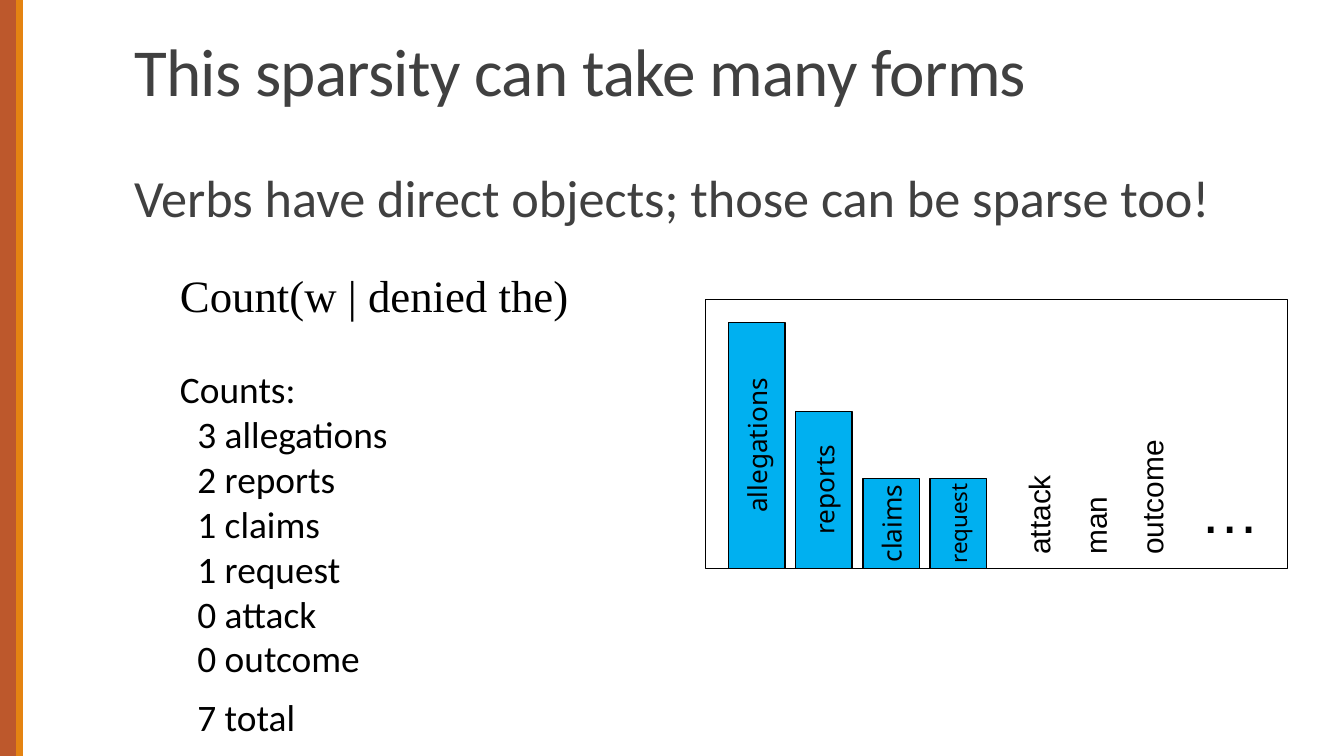
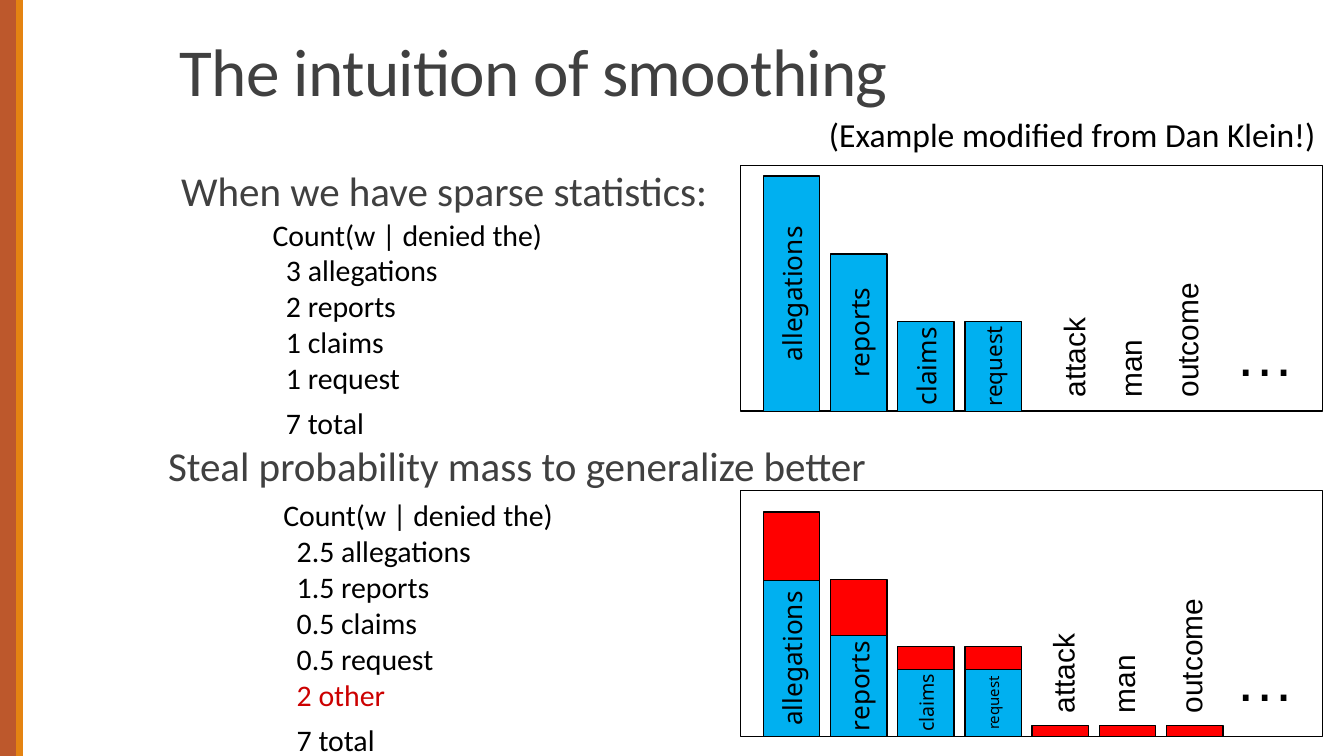
from pptx import Presentation
from pptx.dml.color import RGBColor
from pptx.enum.shapes import MSO_SHAPE
from pptx.enum.text import MSO_ANCHOR, MSO_AUTO_SIZE, PP_ALIGN
from pptx.util import Inches, Pt

RUST, ORANGE = "BD582C", "E48312"
GREY, BLACK, DARK_RED = "404040", "000000", "CC0000"
BLUE, RED = "00B0F0", "FF0000"
WORDS = ["allegations", "reports", "claims", "request"]
UNSEEN = ["attack", "man", "outcome"]


def rgb(value):
    return RGBColor.from_string(value)


class Deck:
    body_font = "Calibri"
    bar_font = "Noto Sans"
    label_font = "Arial"
    bar_width = 0.42
    bar_step = 0.5
    first_bar = 0.38

    def __init__(self):
        self.presentation = Presentation()
        self.presentation.slide_width = Inches(10)
        self.presentation.slide_height = Inches(10) * 9 // 16
        self.slide = None

    def start_slide(self, title, left):
        self.slide = self.presentation.slides.add_slide(self.presentation.slide_layouts[6])
        height = self.presentation.slide_height / Inches(1)
        self.rectangle(0, 0, 0.17, height, fill=RUST)
        self.rectangle(0.12, 0, 0.05, height, fill=ORANGE)
        frame = self.text_box(left, 0.13, 8.25, 0.74, anchor=MSO_ANCHOR.BOTTOM)
        run = self.add_text(frame.paragraphs[0], title, 36, GREY)
        frame.paragraphs[0].line_spacing = 0.85
        run.font._element.set("spc", "-40")

    def rectangle(self, left, top, width, height, fill=None, line=None):
        shape = self.slide.shapes.add_shape(
            MSO_SHAPE.RECTANGLE, Inches(left), Inches(top), Inches(width), Inches(height))
        shape.shadow.inherit = False
        if fill:
            shape.fill.solid()
            shape.fill.fore_color.rgb = rgb(fill)
        else:
            shape.fill.background()
        if line:
            shape.line.color.rgb = rgb(line)
            shape.line.width = Pt(0.75)
        else:
            shape.line.fill.background()
        return shape

    def text_box(self, left, top, width, height, anchor=MSO_ANCHOR.TOP,
                 side_margin=0.1, wrap=True, rotation=0, grow=False):
        box = self.slide.shapes.add_textbox(
            Inches(left), Inches(top), Inches(width), Inches(height))
        box.rotation = rotation
        frame = box.text_frame
        frame.word_wrap = wrap
        frame.vertical_anchor = anchor
        frame.margin_left = frame.margin_right = Inches(side_margin)
        if grow:
            frame.auto_size = MSO_AUTO_SIZE.SHAPE_TO_FIT_TEXT
        return frame

    def add_text(self, paragraph, text, size, color=BLACK, font=body_font):
        run = paragraph.add_run()
        run.text = text
        run.font.size = Pt(size)
        run.font.name = font
        run.font.color.rgb = rgb(color)
        return run

    def statement(self, text, left, top, height, size, spacing, side_margin=0.1):
        frame = self.text_box(left, top, 8.25, height, side_margin=side_margin)
        paragraph = frame.paragraphs[0]
        paragraph.line_spacing = spacing
        paragraph.space_after = Pt(1.5)
        self.add_text(paragraph, text, size, GREY)

    def counts(self, left, top, width, height, size, heading, lines, total_gap, indent):
        frame = self.text_box(left, top, width, height, grow=True)
        self.add_text(frame.paragraphs[0], heading["text"], heading["size"],
                      font=heading["font"])
        for text in lines:
            paragraph = frame.add_paragraph()
            if text == "Counts:":
                paragraph.space_before = Pt(24.4)
            else:
                paragraph._p.get_or_add_pPr().set("marL", str(Inches(indent)))
            if text.endswith("total"):
                paragraph.space_before = Pt(total_gap)
            self.add_text(paragraph, text, size, DARK_RED if text.endswith("other") else BLACK)

    def bar(self, center, bottom, height, fill, word=None, size=14):
        shape = self.rectangle(center - height / 2, bottom - (height + self.bar_width) / 2,
                               height, self.bar_width, fill, BLACK)
        shape.rotation = 270
        if word:
            frame = shape.text_frame
            frame.word_wrap = False
            frame.vertical_anchor = MSO_ANCHOR.MIDDLE
            frame.paragraphs[0].alignment = PP_ALIGN.CENTER
            self.add_text(frame.paragraphs[0], word, size, font=self.bar_font)

    def bars(self, left, bottom, heights, fill, words=(), sizes=(), first=0):
        for index, height in enumerate(heights):
            center = left + self.first_bar + (first + index) * self.bar_step
            label = (words[index], sizes[index]) if words else ()
            self.bar(center, bottom, height, fill, *label)

    def histogram_frame(self, left, top, height, label_centers, label_rise):
        self.rectangle(left, top, 4.33, height, line=BLACK)
        bottom = top + height
        width, depth = 1.25, 0.37
        for word, center in zip(UNSEEN, label_centers):
            frame = self.text_box(left + center - width / 2, bottom - label_rise - depth / 2,
                                  width, depth, rotation=270, grow=True)
            self.add_text(frame.paragraphs[0], word, 16, font=self.label_font)
        frame = self.text_box(left + 3.58, bottom - 0.75, 0.58, 0.63, grow=True)
        self.add_text(frame.paragraphs[0], "…", 32, font=self.label_font)
        return bottom


def build_sparsity(deck):
    deck.start_slide("This sparsity can take many forms", 0.9)
    deck.statement("Verbs have direct objects; those can be sparse too!", 0.9, 1.31, 2, 28, 0.7)
    deck.counts(1.24, 1.94, 3.51, 3.7, 20,
                {"text": "Count(w | denied the)", "size": 24, "font": "Times New Roman"},
                ["Counts:", "3 allegations", "2 reports", "1 claims", "1 request",
                 "0 attack", "0 outcome", "7 total"], 7.3, 0.13)
    bottom = deck.histogram_frame(5.25, 2.23, 2, [2.48, 2.9, 3.32], 0.63)
    deck.bars(5.25, bottom, [1.83, 1.17, 0.67, 0.67], BLUE, WORDS, [14, 14, 14, 12])


def build_smoothing(deck):
    deck.start_slide("The intuition of smoothing", 1.24)
    deck.statement("When we have sparse statistics:", 1.25, 1.31, 0.35, 22, 0.6)
    heading = {"text": "Count(w | denied the)", "size": 16, "font": deck.body_font}
    deck.counts(1.93, 1.56, 2.67, 1.78, 16, heading,
                ["3 allegations", "2 reports", "1 claims", "1 request", "7 total"], 4.9, 0.1)
    deck.counts(2.01, 3.65, 2.67, 2.05, 16, heading,
                ["2.5 allegations", "1.5 reports", "0.5 claims", "0.5 request",
                 "2 other", "7 total"], 4.9, 0.1)

    left = 5.51
    bottom = deck.histogram_frame(left, 1.23, 1.83, [2.48, 2.9, 3.32], 0.63)
    deck.bars(left, bottom, [1.75, 1.17, 0.67, 0.67], BLUE, WORDS, [14, 14, 14, 12])

    bottom = deck.histogram_frame(left, 3.65, 1.83, [2.4, 2.85, 3.35], 0.7)
    deck.bars(left, bottom, [1.67, 1.17, 0.67, 0.67], RED)
    deck.bars(left, bottom, [1.16, 0.75, 0.5, 0.5], BLUE, WORDS, [14, 14, 10.5, 8])
    deck.bars(left, bottom, [0.08] * len(UNSEEN), RED, first=len(WORDS))

    deck.statement("Steal probability mass to generalize better", 1.25, 3.33, 0.4, 22, 0.7,
                   side_margin=0)
    frame = deck.text_box(6.07, 0.8, 3.87, 0.4, wrap=False, grow=True)
    deck.add_text(frame.paragraphs[0], "(Example modified from Dan Klein!)", 18)


def main():
    deck = Deck()
    build_sparsity(deck)
    build_smoothing(deck)
    deck.presentation.save("out.pptx")


if __name__ == "__main__":
    main()
